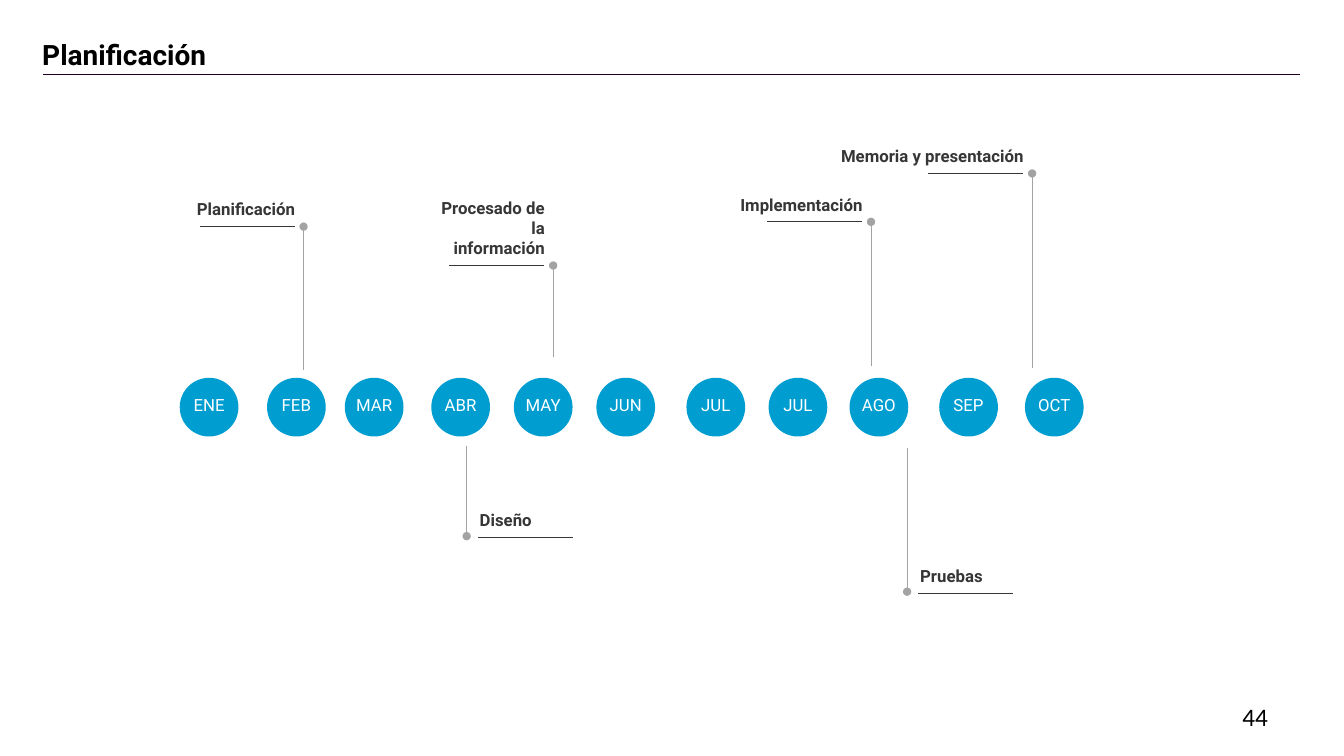
"""Build the project planning timeline slide."""
from pptx import Presentation
from pptx.dml.color import RGBColor
from pptx.enum.shapes import MSO_CONNECTOR, MSO_SHAPE
from pptx.enum.text import MSO_ANCHOR, MSO_AUTO_SIZE, PP_ALIGN
from pptx.oxml.ns import qn
from pptx.util import Cm, Pt
from lxml import etree

STRAIGHT, OVAL = MSO_CONNECTOR.STRAIGHT, MSO_SHAPE.OVAL
TOP, MIDDLE, BOTTOM = MSO_ANCHOR.TOP, MSO_ANCHOR.MIDDLE, MSO_ANCHOR.BOTTOM
LEFT, CENTER, RIGHT = PP_ALIGN.LEFT, PP_ALIGN.CENTER, PP_ALIGN.RIGHT

TITLE = "Planificación"
PAGE = "44"
MONTHS = [("ENE", 4.53), ("FEB", 6.73), ("MAR", 8.69), ("ABR", 10.87),
          ("MAY", 12.95), ("JUN", 15.03), ("JUL", 17.3), ("JUL", 19.37),
          ("AGO", 21.41), ("SEP", 23.67), ("OCT", 25.83)]
# (label, stem x, dot y, stem end y, label width, label lines)
PHASES = [("Planificación", 7.65, 5.71, 9.32, 3.15, 1),
          ("Diseño", 11.76, 13.51, 11.25, 3.15, 1),
          ("Procesado de la información", 13.94, 6.69, 8.99, 3.15, 3),
          ("Implementación", 21.95, 5.59, 9.22, 3.84, 1),
          ("Pruebas", 22.86, 14.91, 11.3, 3.15, 1),
          ("Memoria y presentación", 26.01, 4.37, 9.27, 5.64, 1)]
COLORS = {"title": "000000", "title_rule": "220021", "month": "009DD1",
          "month_text": "FFFFFF", "stem": "A3A3A3", "label": "363636"}
MONTH_TOP, MONTH_SIZE = 9.52, 1.48
RULE_LENGTH, LINE_HEIGHT, INSETS = 2.4, 0.5, 0.26


def rgb(name):
    return RGBColor.from_string(COLORS[name])


def write(s, text, size, color, font="Roboto", bold=False, align=LEFT, anchor=TOP):
    tf = s.text_frame
    tf.auto_size = MSO_AUTO_SIZE.NONE
    tf.word_wrap = True
    tf.vertical_anchor = anchor
    p = tf.paragraphs[0]
    p.alignment = align
    r = p.add_run()
    r.text = text
    r.font.name, r.font.size, r.font.bold = font, Pt(size), bold
    r.font.color.rgb = rgb(color)
    return tf


def add_text(sp, left, top, width, height, *args, **kwargs):
    s = sp.add_textbox(Cm(left), Cm(top), Cm(width), Cm(height))
    write(s, *args, **kwargs)


def add_line(sp, x1, y1, x2, y2, color, width, dot=False):
    s = sp.add_connector(STRAIGHT, Cm(x1), Cm(y1), Cm(x2), Cm(y2))
    s.line.width = Pt(width)
    s.line.color.rgb = rgb(color)
    pr = s._element.spPr
    if dot:
        etree.SubElement(pr.find(qn("a:ln")), qn("a:headEnd"), type="oval")
    etree.SubElement(pr, qn("a:effectLst"))


def add_month(sp, name, left):
    s = sp.add_shape(OVAL, Cm(left), Cm(MONTH_TOP), Cm(MONTH_SIZE), Cm(MONTH_SIZE))
    s.shadow.inherit = False
    s.fill.solid()
    s.fill.fore_color.rgb = rgb("month")
    s.line.fill.background()
    tf = write(s, name, 12, "month_text", align=CENTER, anchor=MIDDLE)
    tf.word_wrap = False
    tf.margin_left = tf.margin_right = tf.margin_top = 0
    tf.margin_bottom = Cm(0.1)


def add_phase(sp, label, x, dot_y, end_y, width, lines):
    above = dot_y < end_y
    rule_x = x - 0.22 - RULE_LENGTH if above else x + 0.28
    rule_y = dot_y if above else dot_y + 0.04
    text_x = x + 0.04 - width if above else x + 0.08
    height = lines * LINE_HEIGHT + INSETS
    add_line(sp, x, dot_y, x, end_y, "stem", 0.25, dot=True)
    add_line(sp, rule_x, rule_y, rule_x + RULE_LENGTH, rule_y, "label", 0.5)
    add_text(sp, text_x, rule_y - 0.06 - height, width, height, label, 12, "label",
             bold=True, align=RIGHT if above else LEFT, anchor=BOTTOM)


def main():
    prs = Presentation()
    prs.slide_width, prs.slide_height = Cm(33.87), Cm(19.05)
    slide = prs.slides.add_slide(prs.slide_layouts[5])
    sp = slide.shapes
    s = sp.title
    s.left, s.top, s.width, s.height = Cm(0.81), Cm(0.91), Cm(32.23), Cm(0.74)
    tf = write(s, TITLE, 20, "title", bold=True)
    tf.paragraphs[0].line_spacing = 0.9
    add_line(sp, 1.09, 1.88, 32.77, 1.88, "title_rule", 1.25)
    for month in MONTHS:
        add_month(sp, *month)
    for phase in PHASES:
        add_phase(sp, *phase)
    add_text(sp, 31.06, 17.55, 2, 1.02, PAGE, 18, "title", font="Calibri", anchor=MIDDLE)
    prs.save("out.pptx")


if __name__ == "__main__":
    main()
